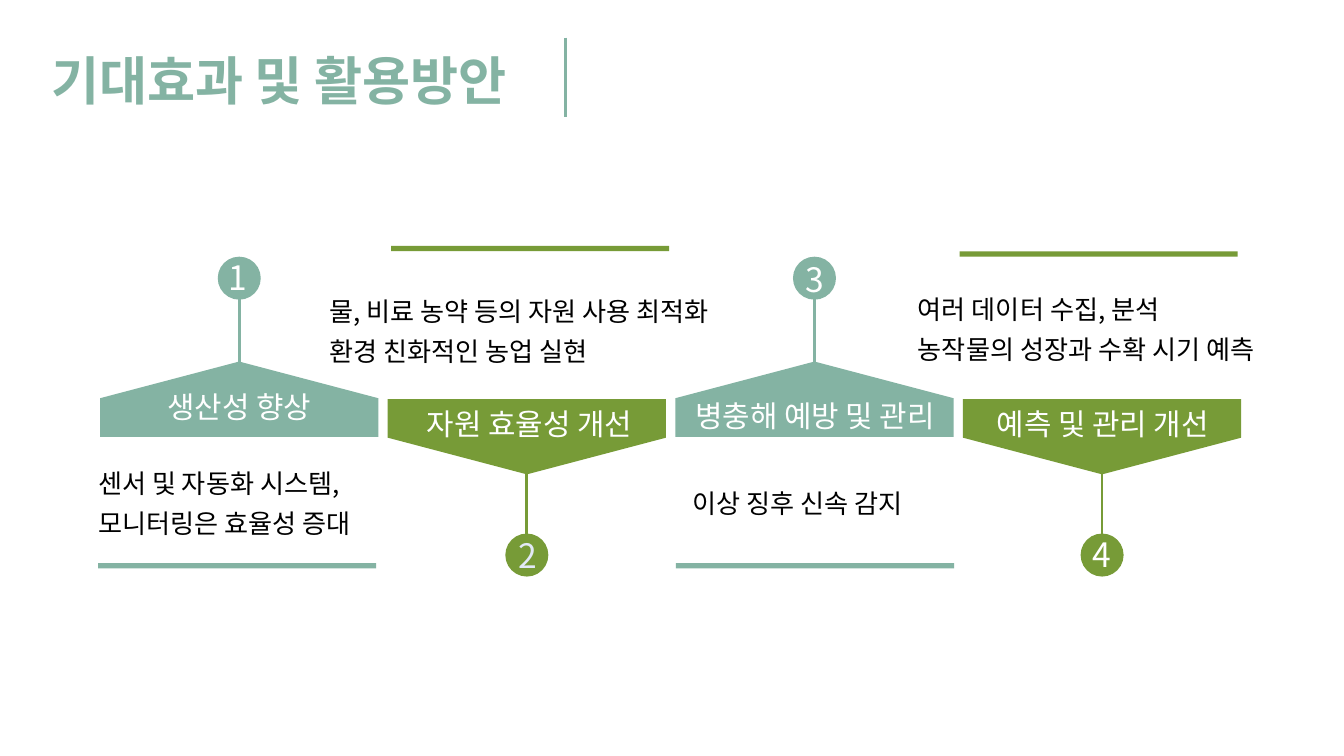
import pptx
import pptx.dml.color
import pptx.enum.shapes
import pptx.enum.text
import pptx.oxml
import pptx.oxml.ns
import pptx.util

Inches = pptx.util.Inches
Pt = pptx.util.Pt
SHAPE = pptx.enum.shapes.MSO_SHAPE
ANCHOR = pptx.enum.text.MSO_ANCHOR
ALIGN = pptx.enum.text.PP_ALIGN

FONT = "Noto Sans CJK KR"
SAGE, OLIVE, WHITE, BLACK = "84B3A3", "779B37", "FFFFFF", "000000"
FIRST_CENTER, PITCH = 1.78, 2.14
PLATE_W, PLATE_H, DOT = 2.07, 0.56, 0.32

COLUMNS = [
    {"number": ("1", 1.6, 1.86, WHITE), "bar": (0.73, 4.19),
     "label": ("생산성 향상", 0.91, 2.87, 1.74),
     "body": ("센서 및 자동화 시스템,\n모니터링은 효율성 증대", 0.66, 3.37, 2.26, 0.69)},
    {"number": ("2", 3.76, 3.93, "E2E9F6"), "bar": (2.91, 1.83),
     "label": ("자원 효율성 개선", 2.97, 3, 1.94),
     "body": ("물, 비료 농약 등의 자원 사용 최적화\n환경 친화적인 농업 실현", 2.38, 2.09, 3.28, 0.69)},
    {"number": ("3", 5.89, 1.88, WHITE), "bar": (5.03, 4.19),
     "label": ("병충해 예방 및 관리", 4.94, 2.94, 2.25),
     "body": ("이상 징후 신속 감지", 5.08, 3.52, 2.06, 0.38)},
    {"number": ("4", 8.03, 3.92, WHITE), "bar": (7.14, 1.87),
     "label": ("예측 및 관리 개선", 7.22, 3, 1.97),
     "body": ("여러 데이터 수집, 분석\n농작물의 성장과 수확 시기 예측", 6.76, 2.08, 3.05, 0.69)},
]


def rgb(value):
    return pptx.dml.color.RGBColor.from_string(value)


def place(sp, x, y, w, h):
    sp.left, sp.top, sp.width, sp.height = map(Inches, (x, y, w, h))


def write(sp, text, size, color, align=ALIGN.LEFT, spacing=None, bold=False,
          anchor=ANCHOR.MIDDLE, wrap=True):
    tf = sp.text_frame
    tf.text = text
    tf.word_wrap = wrap
    tf.auto_size = pptx.enum.text.MSO_AUTO_SIZE.NONE
    tf.vertical_anchor = anchor
    for p in tf.paragraphs:
        p.alignment = align
        p.space_before = Pt(0)
        p.line_spacing = spacing
        for r in p.runs:
            r.font.name = FONT
            r.font.size = Pt(size)
            r.font.bold = bold
            r.font.color.rgb = rgb(color)
            ea = pptx.oxml.parse_xml(
                f'<a:ea {pptx.oxml.ns.nsdecls("a")} typeface="{FONT}"/>')
            r.font._element.find(pptx.oxml.ns.qn("a:latin")).addnext(ea)


def add_text(s, x, y, w, h, *args, **kwargs):
    sp = s.shapes.add_textbox(*map(Inches, (x, y, w, h)))
    write(sp, *args, **kwargs)
    return sp


def add_block(s, kind, x, y, w, h, color):
    sp = s.shapes.add_shape(kind, *map(Inches, (x, y, w, h)))
    sp.shadow.inherit = False
    sp.fill.solid()
    sp.fill.fore_color.rgb = rgb(color)
    sp.line.fill.background()
    return sp


def add_line(s, x, y1, y2, color):
    line = s.shapes.add_connector(pptx.enum.shapes.MSO_CONNECTOR.STRAIGHT,
                                  *map(Inches, (x, y1, x, y2)))
    line.line.color.rgb = rgb(color)
    line.line.width = Pt(1.5)
    line._element.spPr.append(
        pptx.oxml.parse_xml(f'<a:effectLst {pptx.oxml.ns.nsdecls("a")}/>'))


def add_title(s):
    title = s.shapes.title
    place(title, 0.28, 0.39, 3.94, 0.47)
    write(title, "기대효과 및 활용방안", 28, SAGE, spacing=0.9, bold=True)
    add_line(s, 4.21, 0.28, 0.87, SAGE)


def add_plate(s, center, up, color):
    middle = 2.97 if up else 3.25
    plate = add_block(s, SHAPE.PENTAGON, center - PLATE_H / 2,
                      middle - PLATE_W / 2, PLATE_H, PLATE_W, color)
    plate.adjustments[0] = 0.487
    plate.rotation = 270 if up else 90


def add_column(s, index, column):
    center = FIRST_CENTER + index * PITCH
    up = index % 2 == 0
    color = SAGE if up else OLIVE
    add_line(s, center, *((2.19, 2.82) if up else (4.02, 3.39)), color)
    add_block(s, SHAPE.OVAL, center - DOT / 2, 1.91 if up else 3.97, DOT, DOT, color)
    add_plate(s, center, up, color)
    add_block(s, SHAPE.RECTANGLE, *column["bar"], PLATE_W, 0.04, color)

    number, x, y, number_color = column["number"]
    add_text(s, x, y, 0.34, 0.4, number, 18, number_color, ALIGN.CENTER, wrap=False)
    label, x, y, w = column["label"]
    add_text(s, x, y, w, 0.34, label, 16, WHITE, ALIGN.CENTER, spacing=0.9)
    body, *box = column["body"]
    sp = add_text(s, *box, body, 14, BLACK, spacing=Pt(21.5), anchor=ANCHOR.TOP)
    tf = sp.text_frame
    tf.margin_left = tf.margin_right = Inches(0.07)
    tf.margin_top = tf.margin_bottom = Inches(0.04)


def main():
    prs = pptx.Presentation()
    prs.slide_width = Inches(10)
    prs.slide_height = prs.slide_width * 9 // 16
    s = prs.slides.add_slide(prs.slide_layouts[5])
    add_title(s)
    for index, column in enumerate(COLUMNS):
        add_column(s, index, column)
    prs.save("out.pptx")


if __name__ == "__main__":
    main()
